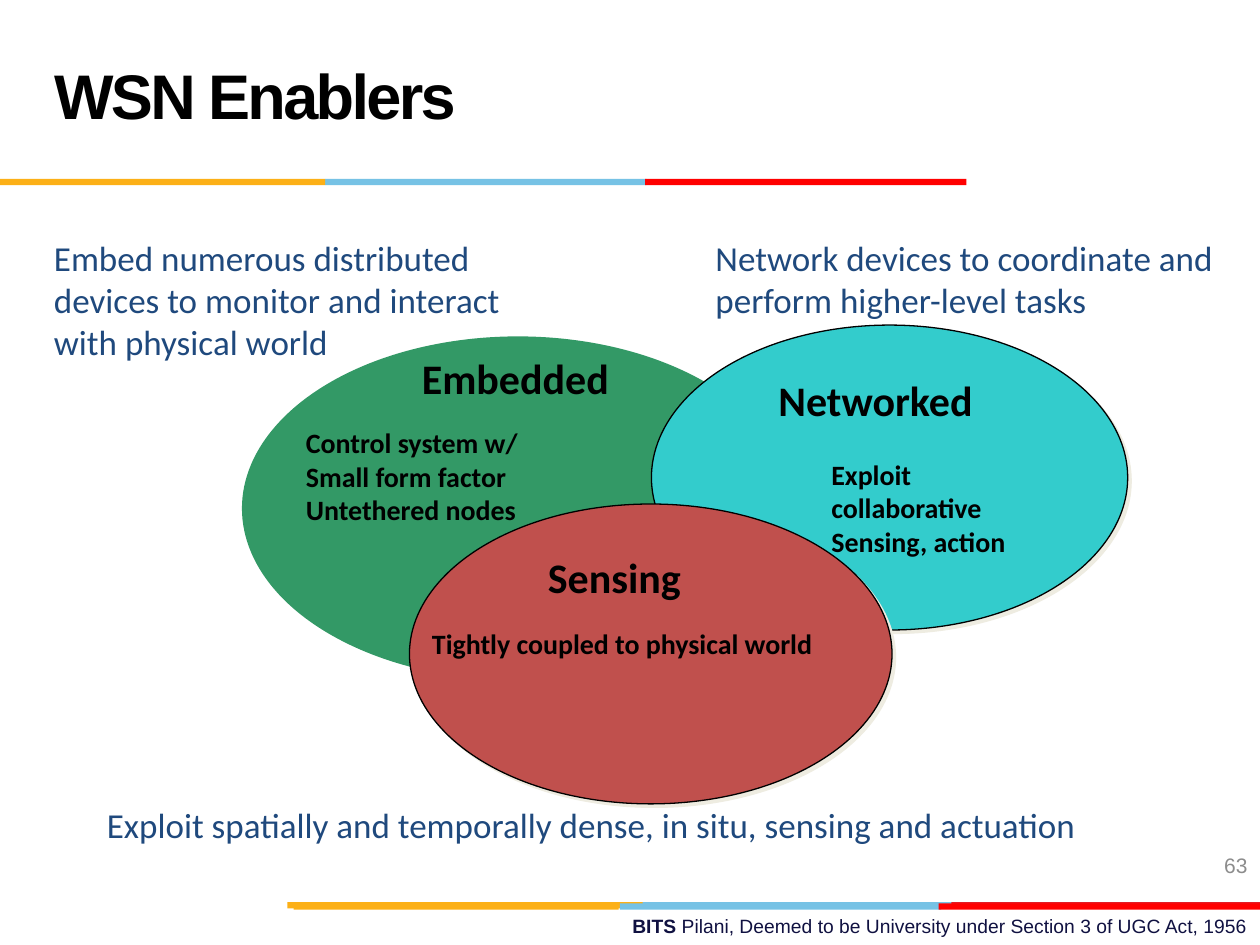
"""Build the WSN Enablers slide with its three overlapping ellipses."""
import lxml.etree
import pptx
import pptx.dml.color
import pptx.enum.shapes
import pptx.enum.text
import pptx.oxml.ns
import pptx.util

Inches = pptx.util.Inches
Pt = pptx.util.Pt
ANCHOR = pptx.enum.text.MSO_ANCHOR
ALIGN = pptx.enum.text.PP_ALIGN
AUTO = pptx.enum.text.MSO_AUTO_SIZE
SHAPES = pptx.enum.shapes.MSO_SHAPE
qn = pptx.oxml.ns.qn


def paint(color_format, value):
    color_format.rgb = pptx.dml.color.RGBColor.from_string(value)


def write(frame, paragraphs, style, color, wrap=True, align=ALIGN.LEFT):
    frame.word_wrap = wrap
    for index, runs in enumerate(paragraphs):
        paragraph = frame.paragraphs[0] if index == 0 else frame.add_paragraph()
        paragraph.alignment = align
        paragraph.text = runs
        for attribute, value in style.items():
            for run in paragraph.runs:
                setattr(run.font, attribute, value)
                paint(run.font.color, color)


presentation = pptx.Presentation()
presentation.slide_width = Inches(10)
presentation.slide_height = Inches(7.5)
slide = presentation.slides.add_slide(presentation.slide_layouts[5])

heading = slide.shapes.title
for attribute, value in dict(left=0.33, top=0.17, width=6.92, height=1.25).items():
    setattr(heading, attribute, Inches(value))
heading.text_frame.vertical_anchor = ANCHOR.MIDDLE
heading_style = dict(name="Arial", size=Pt(36), bold=True)
write(heading.text_frame, ["WSN Enablers"], heading_style, "000000")
heading_line = heading.text_frame.paragraphs[0]
heading_line.line_spacing = Pt(36)
heading_line.runs[0].font._element.set("spc", "-150")

stripes = [
    (7.16, [(5.06, 2.55, "76C2E5"), (7.55, 2.45, "E31C24"), (2.28, 2.82, "FCB017")]),
    (7.17, [(4.92, 2.55, "76C2E5"), (2.33, 2.58, "FCB017"), (7.45, 2.55, "FF0000")]),
    (1.42, [(2.58, 2.55, "76C2E5"), (0, 2.58, "FCB017"), (5.12, 2.55, "FF0000")]),
]
for top, bands in stripes:
    for left, width, color in bands:
        band = slide.shapes.add_shape(
            SHAPES.RECTANGLE, Inches(left), Inches(top), Inches(width), Inches(0.05))
        band.shadow.inherit = False
        band.fill.solid()
        paint(band.fill.fore_color, color)
        band.line.fill.background()

enablers = [
    (1.92, 2.67, 4.38, 2.73, "339966", False),
    (5.17, 2.58, 3.78, 2.42, "33CCCC", True),
    (3.25, 4, 3.83, 2.38, "C0504D", True),
]
for left, top, width, height, color, outlined in enablers:
    enabler = slide.shapes.add_shape(
        SHAPES.OVAL, Inches(left), Inches(top), Inches(width), Inches(height))
    enabler.shadow.inherit = False
    enabler.fill.solid()
    paint(enabler.fill.fore_color, color)
    if outlined:
        paint(enabler.line.color, "000000")
        enabler.line.width = Pt(0.75)
        effects = enabler._element.spPr.find(qn("a:effectLst"))
        shade = lxml.etree.SubElement(
            effects, qn("a:outerShdw"), dist=str(Pt(2.8)), dir="2700000", algn="ctr")
        lxml.etree.SubElement(shade, qn("a:srgbClr"), val="EEECE1")
    else:
        enabler.line.fill.background()

label_style = dict(name="Calibri", size=Pt(24), bold=True)
detail_style = dict(name="Calibri", size=Pt(16), bold=True)
goal_style = dict(name="Calibri", size=Pt(20), bold=False)
captions = [
    (3.25, 2.75, 1.9, 0.5, ["Embedded"], label_style, "000000", False),
    (6.08, 2.92, 1.91, 0.5, ["Networked"], label_style, "000000", False),
    (4.25, 4.33, 1.5, 0.5, ["Sensing"], label_style, "000000", False),
    (2.33, 3.33, 2.33, 0.9, ["Control system w/", "Small form factor", "Untethered nodes"],
     detail_style, "000000", True),
    (6.5, 3.58, 1.84, 0.9, ["Exploit\ncollaborative", "Sensing, action"],
     detail_style, "000000", False),
    (3.33, 4.92, 3.75, 0.37, ["Tightly coupled to physical world"],
     detail_style, "000000", True),
    (0.33, 1.83, 4.17, 1.1,
     ["Embed numerous distributed devices to monitor and interact with physical world"],
     goal_style, "1F497D", True),
    (5.58, 1.83, 4.25, 0.77,
     ["Network devices to coordinate and perform higher-level tasks"],
     goal_style, "1F497D", True),
    (0.75, 6.33, 8.75, 0.43,
     ["Exploit spatially and temporally dense, in situ, sensing and actuation"],
     goal_style, "1F497D", True),
]
for left, top, width, height, paragraphs, style, color, wrap in captions:
    caption = slide.shapes.add_textbox(
        Inches(left), Inches(top), Inches(width), Inches(height))
    caption.text_frame.auto_size = AUTO.SHAPE_TO_FIT_TEXT
    write(caption.text_frame, paragraphs, style, color, wrap)

page = slide.shapes.add_textbox(Inches(7.67), Inches(6.67), Inches(2.33), Inches(0.4))
page.text_frame.vertical_anchor = ANCHOR.MIDDLE
page_style = dict(name="Arial", size=Pt(12))
write(page.text_frame, ["63"], page_style, "8C8C8C", align=ALIGN.RIGHT)

footer = slide.shapes.add_textbox(Inches(3.58), Inches(7.21), Inches(6.42), Inches(0.29))
footer.text_frame.auto_size = AUTO.SHAPE_TO_FIT_TEXT
footer_style = dict(name="Arial", size=Pt(11), bold=True)
write(footer.text_frame, ["BITS "], footer_style, "101141", align=ALIGN.RIGHT)
notice = footer.text_frame.paragraphs[0].add_run()
notice.text = "Pilani, Deemed to be University under Section 3 of UGC Act, 1956"
for attribute, value in {**footer_style, "bold": False}.items():
    setattr(notice.font, attribute, value)
paint(notice.font.color, "101141")

presentation.save("out.pptx")
